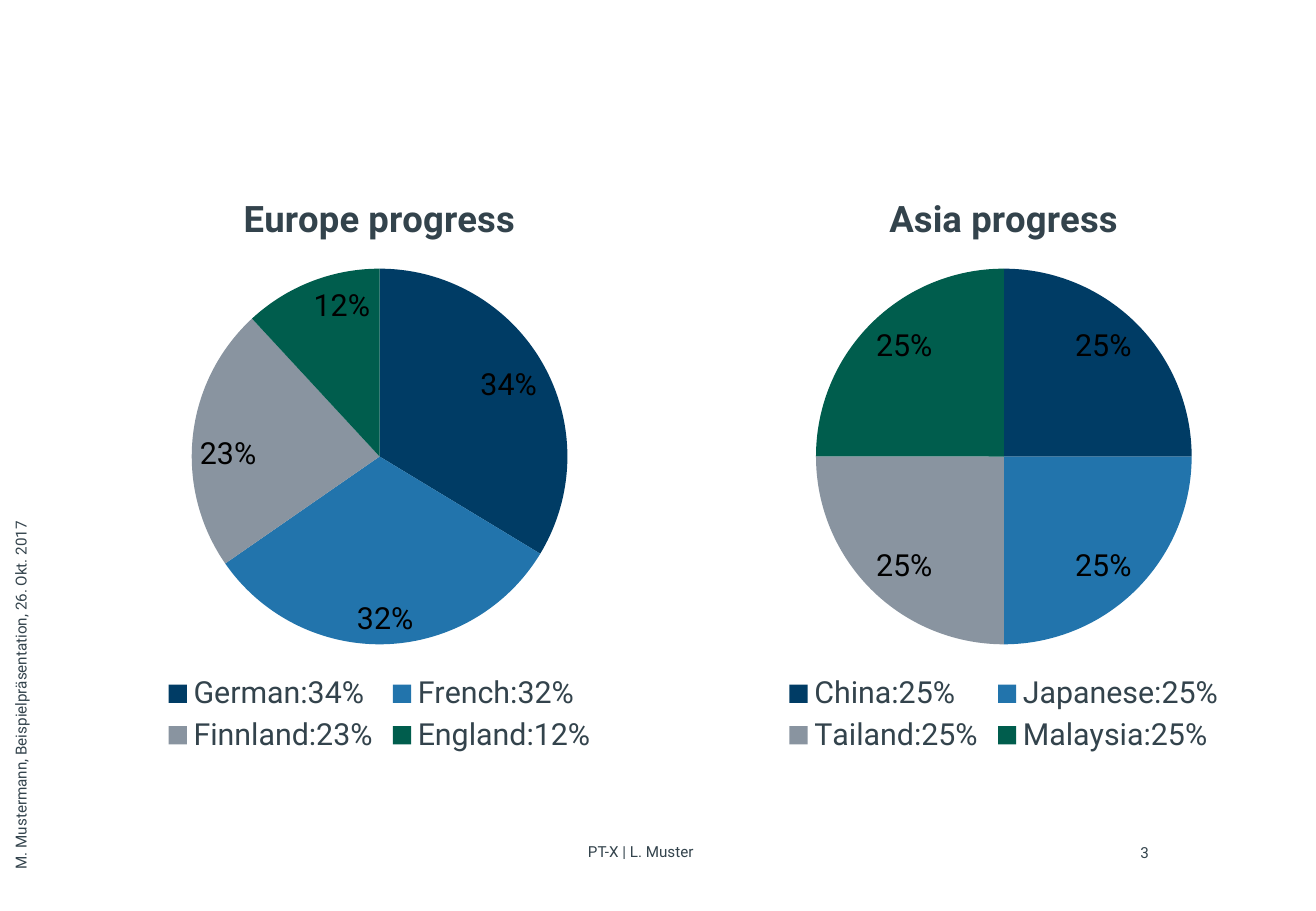
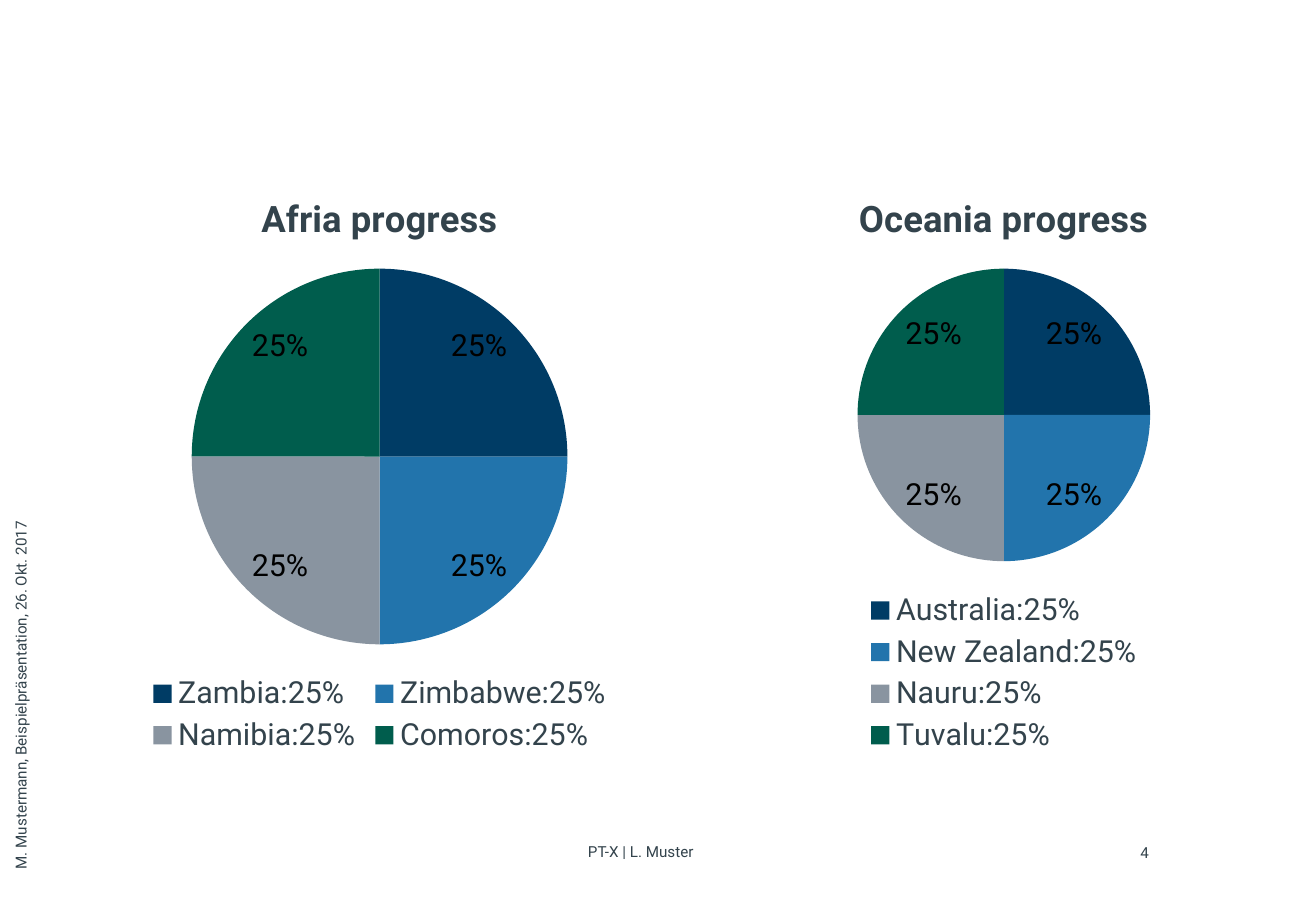
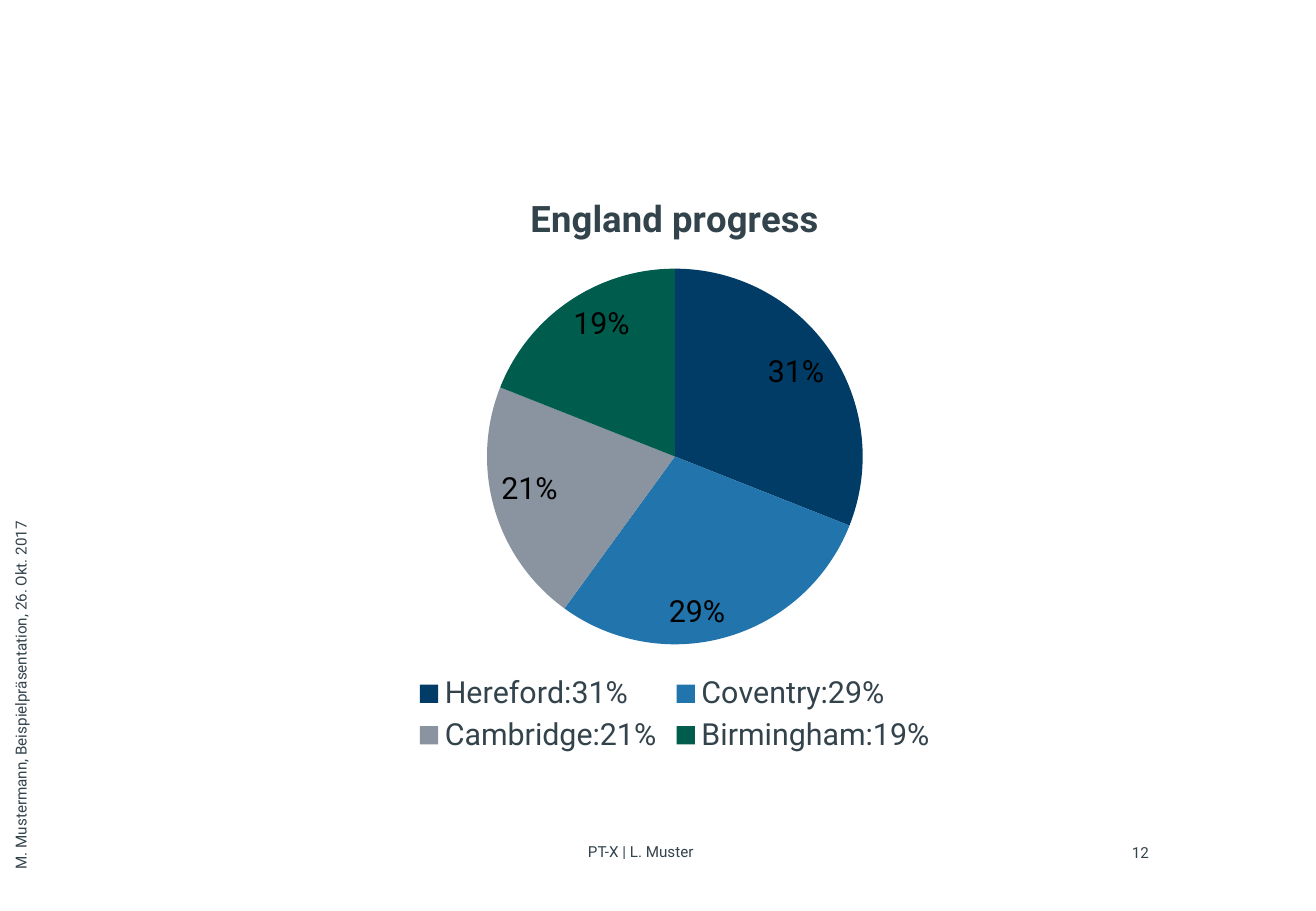
from pptx import Presentation
from pptx.chart.data import CategoryChartData
from pptx.dml.color import RGBColor
from pptx.enum.chart import XL_CHART_TYPE as ChartType
from pptx.enum.chart import XL_LABEL_POSITION as LabelPosition
from pptx.enum.chart import XL_LEGEND_POSITION as LegendPosition
from pptx.enum.text import PP_ALIGN as Align
from pptx.util import Pt


def color(value):
    return RGBColor.from_string(value)


def style_font(font, size, fill, bold=False):
    values = {"name": "Roboto", "size": Pt(size), "bold": bold}
    for name, value in values.items():
        setattr(font, name, value)
    font.color.rgb = color(fill)


TEXT = "33434C"
LABEL = "000000"
SLICES = ["003C65", "2274AC", "8994A0", "005D4D"]
CHART_TOP, CHART_HEIGHT = 100, 350
LEFT_CHART, RIGHT_CHART, CENTER_CHART = (50, 350), (420, 350), (200, 400)

pages = [
    (3, [
        ("Europe progress", LEFT_CHART,
         {"German": 34, "French": 32, "Finnland": 23, "England": 12}),
        ("Asia progress", RIGHT_CHART,
         {"China": 25, "Japanese": 25, "Tailand": 25, "Malaysia": 25}),
    ]),
    (4, [
        ("Afria progress", LEFT_CHART,
         {"Zambia": 25, "Zimbabwe": 25, "Namibia": 25, "Comoros": 25}),
        ("Oceania progress", RIGHT_CHART,
         {"Australia": 25, "New Zealand": 25, "Nauru": 25, "Tuvalu": 25}),
    ]),
    (12, [
        ("England progress", CENTER_CHART,
         {"Hereford": 31, "Coventry": 29, "Cambridge": 21, "Birmingham": 19}),
    ]),
]

presentation = Presentation()
presentation.slide_width = Pt(780)
presentation.slide_height = Pt(540)
blank_layout = presentation.slide_layouts[6]

for number, charts in pages:
    slide = presentation.slides.add_slide(blank_layout)

    footers = [
        ("PT-X | L. Muster", (348.5, 499, 220, 16), Align.LEFT, 0),
        (str(number), (653, 499.7, 28, 11.5), Align.RIGHT, 0),
        ("M. Mustermann, Beispielpräsentation, 26. Okt. 2017",
         (-108, 384.5, 245.5, 16), Align.LEFT, 270),
    ]
    for text, box, alignment, rotation in footers:
        shape = slide.shapes.add_textbox(*[Pt(length) for length in box])
        shape.rotation = rotation
        frame = shape.text_frame
        frame.word_wrap = True
        for side in ("left", "top", "right", "bottom"):
            setattr(frame, f"margin_{side}", 0)
        paragraph = frame.paragraphs[0]
        paragraph.text = text
        paragraph.alignment = alignment
        style_font(paragraph.runs[0].font, 9, TEXT)

    for title, (left, width), shares in charts:
        data = CategoryChartData()
        data.categories = [f"{name}:{share}%" for name, share in shares.items()]
        data.add_series("Series 1", shares.values())
        chart = slide.shapes.add_chart(
            ChartType.PIE, Pt(left), Pt(CHART_TOP), Pt(width), Pt(CHART_HEIGHT), data
        ).chart
        style_font(chart.font, 18, TEXT)

        chart.has_title = True
        paragraph = chart.chart_title.text_frame.paragraphs[0]
        paragraph.text = title
        style_font(paragraph.runs[0].font, 21.6, TEXT, bold=True)

        chart.has_legend = True
        chart.legend.position = LegendPosition.BOTTOM
        chart.legend.include_in_layout = False

        plot = chart.plots[0]
        plot.vary_by_categories = True
        plot.has_data_labels = True
        labels = plot.data_labels
        label_values = {
            "show_percentage": True,
            "show_value": False,
            "number_format": "0%",
            "number_format_is_linked": False,
            "position": LabelPosition.INSIDE_END,
        }
        for name, value in label_values.items():
            setattr(labels, name, value)
        style_font(labels.font, 18, LABEL)

        for index, fill in enumerate(SLICES):
            point_fill = plot.series[0].points[index].format.fill
            point_fill.solid()
            point_fill.fore_color.rgb = color(fill)

presentation.save("out.pptx")
